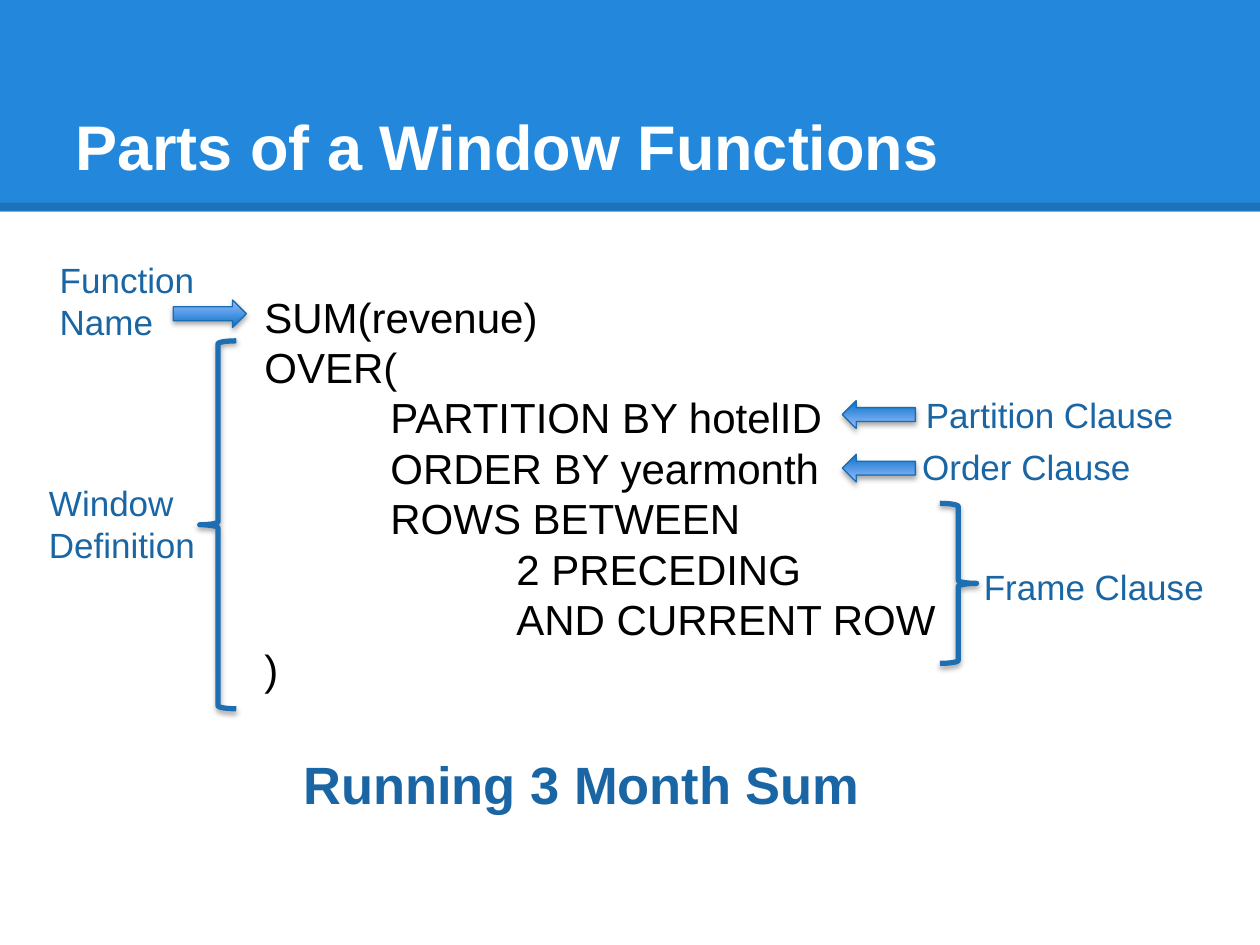
import pptx
import pptx.util
import pptx.dml.color
import pptx.enum.shapes
import pptx.enum.text
import pptx.oxml
import pptx.oxml.ns
from dataclasses import dataclass


@dataclass(frozen=True)
class Theme:
    font: str = "Arial"
    band: str = "2388DB"
    rule: str = "000000"
    title: str = "FFFFFF"
    code: str = "000000"
    note: str = "1A66A4"
    brace: str = "1D6FB2"
    edge: str = "196DB2"
    dark: str = "0771C8"
    light: str = "9BBEFF"
    head_size: int = 36
    sum_size: int = 30
    code_size: int = 24
    note_size: int = 20


theme = Theme()
kinds = pptx.enum.shapes.MSO_SHAPE
rgb = pptx.dml.color.RGBColor.from_string
pt = pptx.util.Pt
ns = pptx.oxml.ns.nsdecls("a")

deck = pptx.Presentation()
deck.slide_width = pptx.util.Inches(10)
deck.slide_height = pptx.util.Inches(7.5)
slide = deck.slides.add_slide(deck.slide_layouts[6])
shapes = slide.shapes

# Places are counted in cells of a grid of 100 columns by 75 rows.
col = deck.slide_width / 100
row = deck.slide_height / 75


def grid(x, y, wide, high):
    return [round(n) for n in (x * col, y * row, wide * col, high * row)]


def write(area, lines, size, color, bold=False, pad=(1, 0.5)):
    """Add a text box with one paragraph per line; pad is side and top inset in cells."""
    box = shapes.add_textbox(*grid(*area))
    frame = box.text_frame
    frame.word_wrap = True
    frame.margin_left = frame.margin_right = round(pad[0] * col)
    frame.margin_top = frame.margin_bottom = round(pad[1] * row)
    for i, line in enumerate(lines):
        para = frame.paragraphs[0] if i == 0 else frame.add_paragraph()
        para.line_spacing = pt(size * 1.2)
        run = para.add_run()
        run.text = line
        run.font.name = theme.font
        run.font.size = pt(size)
        run.font.bold = bold
        run.font.color.rgb = rgb(color)
    return frame


# Title band
band = shapes.add_shape(kinds.RECTANGLE, *grid(0, 0, 100, 16.8))
band.shadow.inherit = False
band.fill.solid()
band.fill.fore_color.rgb = rgb(theme.band)
band.line.fill.background()

y = round(16.4 * row)
rule = shapes.add_connector(
    pptx.enum.shapes.MSO_CONNECTOR.STRAIGHT, 0, y, deck.slide_width, y)
rule.line.width = pt(4.5)
rule.line.color.rgb = rgb(theme.rule)
props = rule._element.spPr
tint = props.find(".//" + pptx.oxml.ns.qn("a:srgbClr"))
tint.append(pptx.oxml.parse_xml(f'<a:alpha {ns} val="15000"/>'))
props.append(pptx.oxml.parse_xml(f"<a:effectLst {ns}/>"))

head = write((5, 3, 90, 12.5), ["Parts of a Window Functions"],
             theme.head_size, theme.title, True, (1, 1))
head.vertical_anchor = pptx.enum.text.MSO_ANCHOR.BOTTOM

# Query, with a tab stop every ten columns
query = [
    "SUM(revenue)",
    "OVER(",
    "\tPARTITION BY hotelID",
    "\tORDER BY yearmonth",
    "\tROWS BETWEEN",
    "\t\t2 PRECEDING",
    "\t\tAND CURRENT ROW",
    ")",
]
code = write((20, 22.1, 55.8, 35.5), query, theme.code_size, theme.code, pad=(1, 1))
stops = "".join(f'<a:tab pos="{round(n * 10 * col)}" algn="l"/>' for n in (1, 2))
for para in code.paragraphs:
    para._p.get_or_add_pPr().append(
        pptx.oxml.parse_xml(f"<a:tabLst {ns}>{stops}</a:tabLst>"))

# Labels
notes = [
    ((3.75, 20, 14.2, 7.7), ["Function", "Name"]),
    ((2.9, 37.7, 14.2, 7.7), ["Window", "Definition"]),
    ((72.5, 30.7, 21.7, 4.4), ["Partition Clause"]),
    ((72.2, 34.85, 20.8, 4.4), ["Order Clause"]),
    ((77.1, 44.4, 20, 4.4), ["Frame Clause"]),
]
for area, lines in notes:
    write(area, lines, theme.note_size, theme.note)

# Arrows and braces
arrow, brace = kinds.RIGHT_ARROW, kinds.LEFT_BRACE
marks = [
    (arrow, (13.75, 23.8, 5.8, 2.2), 0),
    (brace, (15.85, 27.05, 2.9, 29.2), 0),
    (arrow, (66.85, 31.8, 5.8, 2.2), 180),
    (arrow, (66.85, 36.05, 5.8, 2.2), 180),
    (brace, (74.6, 39.95, 2.9, 12.7), 180),
]
for kind, area, turn in marks:
    mark = shapes.add_shape(kind, *grid(*area))
    mark.rotation = turn
    if kind == arrow:
        mark.fill.gradient()
        mark.fill.gradient_angle = 90
        for stop, color in zip(mark.fill.gradient_stops, (theme.dark, theme.light)):
            stop.color.rgb = rgb(color)
        mark.line.color.rgb = rgb(theme.edge)
        mark.line.width = pt(0.75)
    else:
        mark.fill.background()
        mark.line.color.rgb = rgb(theme.brace)
        mark.line.width = pt(3)
    mark._element.spPr.append(pptx.oxml.parse_xml(
        f'<a:effectLst {ns}><a:outerShdw blurRad="{pt(3.1)}" dist="{pt(1.8)}" '
        'dir="5400000" rotWithShape="0"><a:srgbClr val="000000">'
        '<a:alpha val="35000"/></a:srgbClr></a:outerShdw></a:effectLst>'))

write((23.1, 59.2, 52.9, 6.1), ["Running 3 Month Sum"],
      theme.sum_size, theme.note, True)

deck.save("out.pptx")
